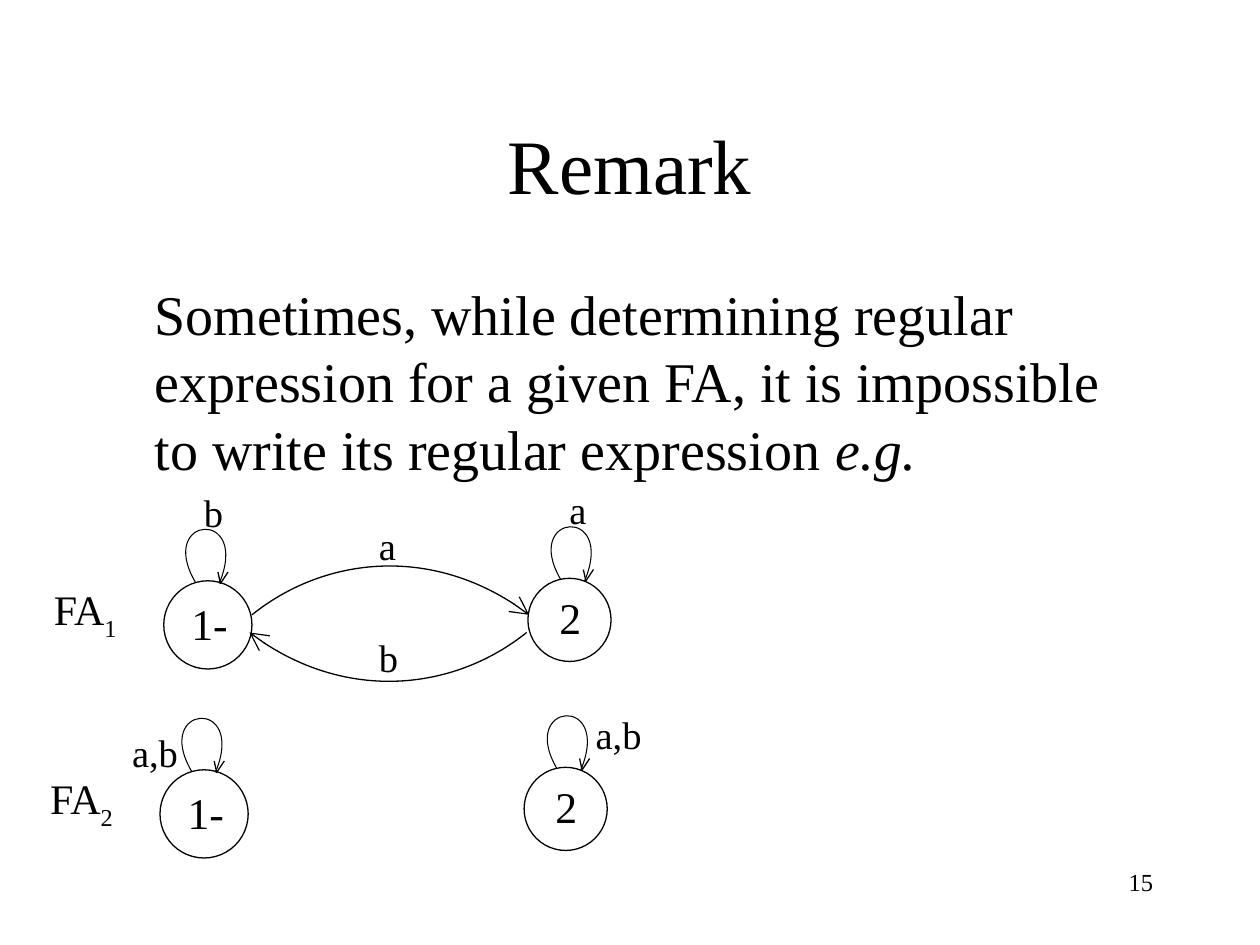
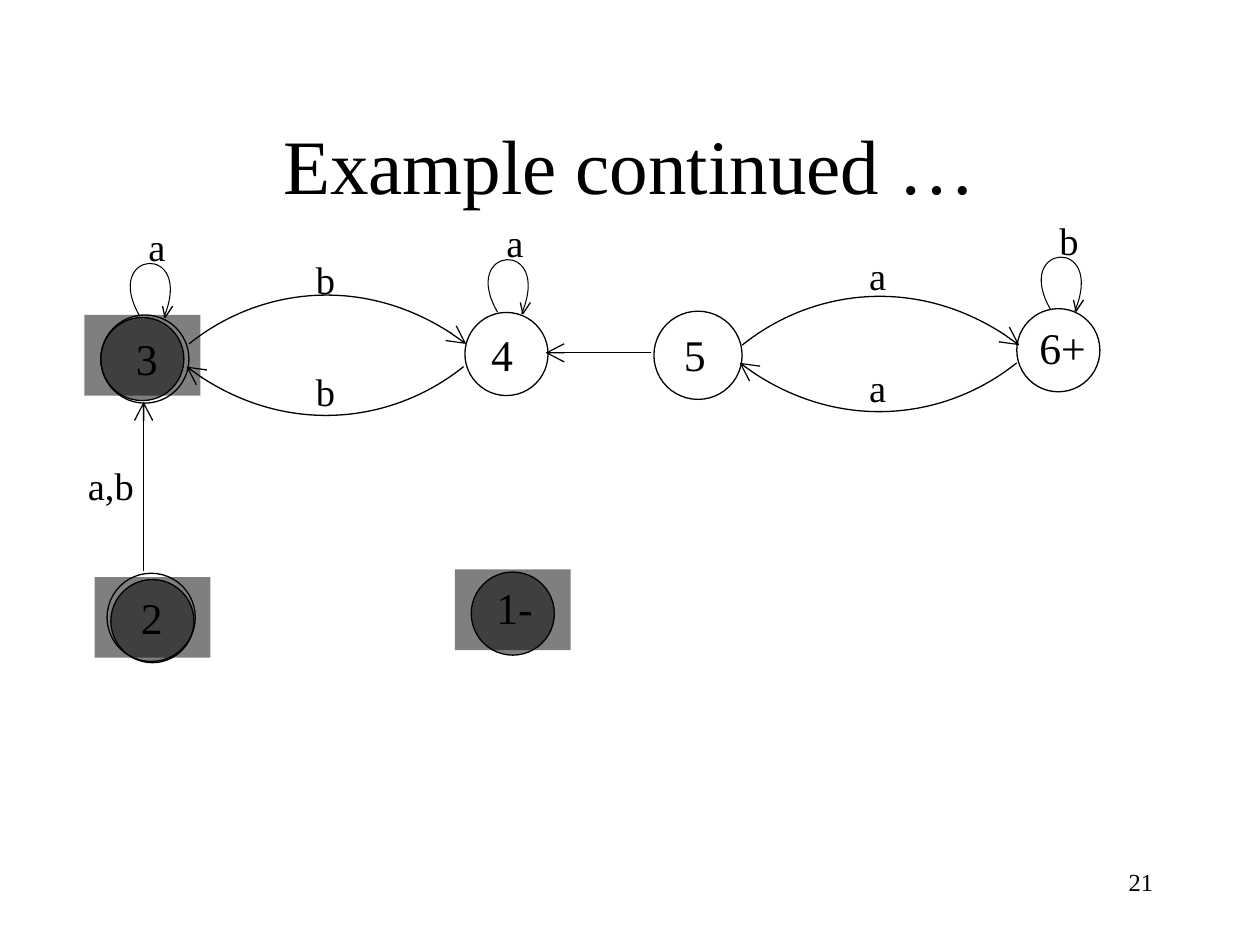
from dataclasses import dataclass

from lxml import etree
from pptx import Presentation
from pptx.dml.color import RGBColor
from pptx.enum.shapes import MSO_CONNECTOR, MSO_SHAPE
from pptx.enum.text import MSO_ANCHOR, PP_ALIGN
from pptx.oxml.ns import qn
from pptx.util import Pt

PX = 9144  # EMU in one px: 100 px to the inch
LEFT, MID, RIGHT = PP_ALIGN.LEFT, PP_ALIGN.CENTER, PP_ALIGN.RIGHT
TOP, CENTRE = MSO_ANCHOR.TOP, MSO_ANCHOR.MIDDLE
OVAL, RECT = MSO_SHAPE.OVAL, MSO_SHAPE.RECTANGLE
STRAIGHT = MSO_CONNECTOR.STRAIGHT


@dataclass(frozen=True)
class Theme:
    font: str = "Times New Roman"
    ink: RGBColor = RGBColor(0, 0, 0)
    paper: RGBColor = RGBColor(255, 255, 255)
    title: int = 44
    body: int = 32
    state: int = 25
    name: int = 24
    edge: int = 22
    page: int = 14
    line: float = 0.75
    thin: float = 0.6
    veil: int = 50  # percent opaque


class Deck:
    def __init__(self, theme):
        self.theme = theme
        self.show = Presentation()
        self.show.slide_width, self.show.slide_height = 1000 * PX, 750 * PX
        self.slide = None

    # Slide frame
    def page(self, title, number):
        self.slide = self.show.slides.add_slide(self.show.slide_layouts[6])
        self.text(75, 67, 850, 125, title, self.theme.title, MID, CENTRE)
        self.text(717, 683, 208, 50, number, self.theme.page, RIGHT)

    # Text
    def text(self, x, y, w, h, words, size, align=LEFT, anchor=TOP):
        box = self.slide.shapes.add_textbox(x * PX, y * PX, w * PX, h * PX)
        frame = box.text_frame
        frame.word_wrap = True
        frame.vertical_anchor = anchor
        para = frame.paragraphs[0]
        para.alignment = align
        para.add_run().text = words
        para.font.name, para.font.size = self.theme.font, Pt(size)
        para.font.color.rgb = self.theme.ink
        return para

    def body(self, words, tail):
        para = self.text(75, 217, 850, 450, words, self.theme.body)
        para._p.get_or_add_pPr().set("marL", str(38 * PX))
        self.style(para, tail).italic = True

    def name(self, x, y, words, index):
        para = self.text(x, y, 150, 57, words, self.theme.name)
        self.style(para, index)._element.set("baseline", "-30000")

    def style(self, para, words):
        run = para.add_run()
        run.text = words
        return run.font

    def label(self, x, y, words):
        self.text(x, y, 77, 44, words, self.theme.edge)

    # Lines
    def ink(self, shape, width, head=False):
        shape.line.color.rgb = self.theme.ink
        shape.line.width = Pt(width)
        if head:
            line = shape._element.spPr.find(qn("a:ln"))
            etree.SubElement(line, qn("a:tailEnd"), type="arrow", w="lg", len="lg")

    def arrow(self, x1, y1, x2, y2):
        link = self.slide.shapes.add_connector(
            STRAIGHT, x1 * PX, y1 * PX, x2 * PX, y2 * PX)
        self.ink(link, self.theme.line, head=True)
        etree.SubElement(link._element.spPr, qn("a:effectLst"))

    def trace(self, x, y, steps, width, curve=False, head=False):
        pen = self.slide.shapes.build_freeform(x, y, scale=PX)
        pen.add_line_segments([(x + dx, y + dy) for dx, dy in steps], close=False)
        shape = pen.convert_to_shape()
        shape.shadow.inherit = False
        shape.fill.background()
        self.ink(shape, width, head)
        if curve:  # the three segments become one cubic curve
            route = shape._element.find(".//" + qn("a:path"))
            bend = etree.SubElement(route, qn("a:cubicBezTo"))
            for part in route.findall(qn("a:lnTo")):
                bend.append(part[0])
                route.remove(part)

    def arc(self, x, y, side):
        steps = [(side * dx, side * dy) for dx, dy in ((56, -45), (147, -56), (220, 0))]
        self.trace(x, y, steps, self.theme.line, curve=True, head=True)

    def pair(self, x, y, over, under, gap=14):
        """Two arcs, there and back, starting from the left state."""
        self.arc(x, y, 1)
        self.label(x + 91, y - 79 + 14 - gap + (gap - 14) * 2, over)
        self.arc(x + 218, y + gap, -1)
        self.label(x + 91, y + gap - 4, under)

    def loop(self, x, y, words, dx=-3, dy=-79):
        self.trace(x, y, [(-31, -53), (44, -59), (19, 1)], self.theme.thin, curve=True)
        self.trace(x + 26, y - 8, [(-6, 9), (-8, 0)], self.theme.line)
        self.label(x + dx, y + dy, words)

    # States
    def shape(self, kind, x, y, w, h, fill):
        shape = self.slide.shapes.add_shape(kind, x * PX, y * PX, w * PX, h * PX)
        shape.shadow.inherit = False
        shape.fill.solid()
        shape.fill.fore_color.rgb = fill
        return shape

    def ring(self, x, y, size):
        self.ink(self.shape(OVAL, x, y, size, size, self.theme.paper), self.theme.line)

    def state(self, x, y, size, words, dx, dy):
        self.ring(x, y, size)
        self.mark(x + dx, y + dy, words)

    def mark(self, x, y, words):
        self.text(x, y, 102, 42, words, self.theme.state)

    def veil(self, x, y):
        disc = self.shape(OVAL, x + 13, y + 2, 66, 66, self.theme.ink)
        self.ink(disc, self.theme.line)
        pane = self.shape(RECT, x, y, 92, 64, self.theme.ink)
        pane.line.fill.background()
        for shape in (disc, pane):
            tint = shape._element.spPr.find(qn("a:solidFill"))[0]
            etree.SubElement(tint, qn("a:alpha"), val=str(self.theme.veil * 1000))


def remark(deck):
    deck.page("Remark", "15")
    deck.body("Sometimes, while determining regular expression for a given FA, "
              "it is impossible to write its regular expression ", "e.g.")
    # Both automata have the same two states
    for x, y, index in ((130, 461, "1"), (127, 611, "2")):
        deck.state(x, y, 70, "1-", 12, 8)
        deck.state(x + 289, y - 2, 66, "2", 15, 5)
        deck.name(x - 97, y - 3, "FA", index)
    # Edges of the first automaton
    deck.pair(200, 488, "a", "b")
    deck.loop(155, 462, "b")
    deck.loop(445, 460, "a")
    # Edges of the second
    deck.loop(152, 612, "a,b", -57, -38)
    deck.loop(442, 610, "a,b", 21, -51)


def example(deck):
    deck.page("Example continued …", "21")
    # Live states
    deck.state(80, 250, 70, "3", 18, 8)
    deck.state(369, 248, 66, "4", 11, 7)
    deck.state(519, 247, 70, "5", 14, 8)
    deck.state(807, 245, 66, "6+", 8, 5)
    deck.state(85, 455, 70, "2", 17, 9)
    # Edges
    deck.pair(150, 273, "b", "b", gap=18)
    deck.pair(589, 274, "a", "a")
    for x, y, words in ((111, 251, "a"), (395, 248, "a"), (834, 246, "b")):
        deck.loop(x, y, words)
    deck.arrow(517, 280, 433, 280)
    deck.arrow(114, 453, 114, 319)
    deck.label(60, 362, "a,b")
    # Veils over the states that are done
    for x, y in ((361, 452), (67, 250), (75, 458)):
        deck.veil(x, y)
    deck.mark(384, 456, "1-")


def main():
    deck = Deck(Theme())
    remark(deck)
    example(deck)
    deck.show.save("out.pptx")


if __name__ == "__main__":
    main()
